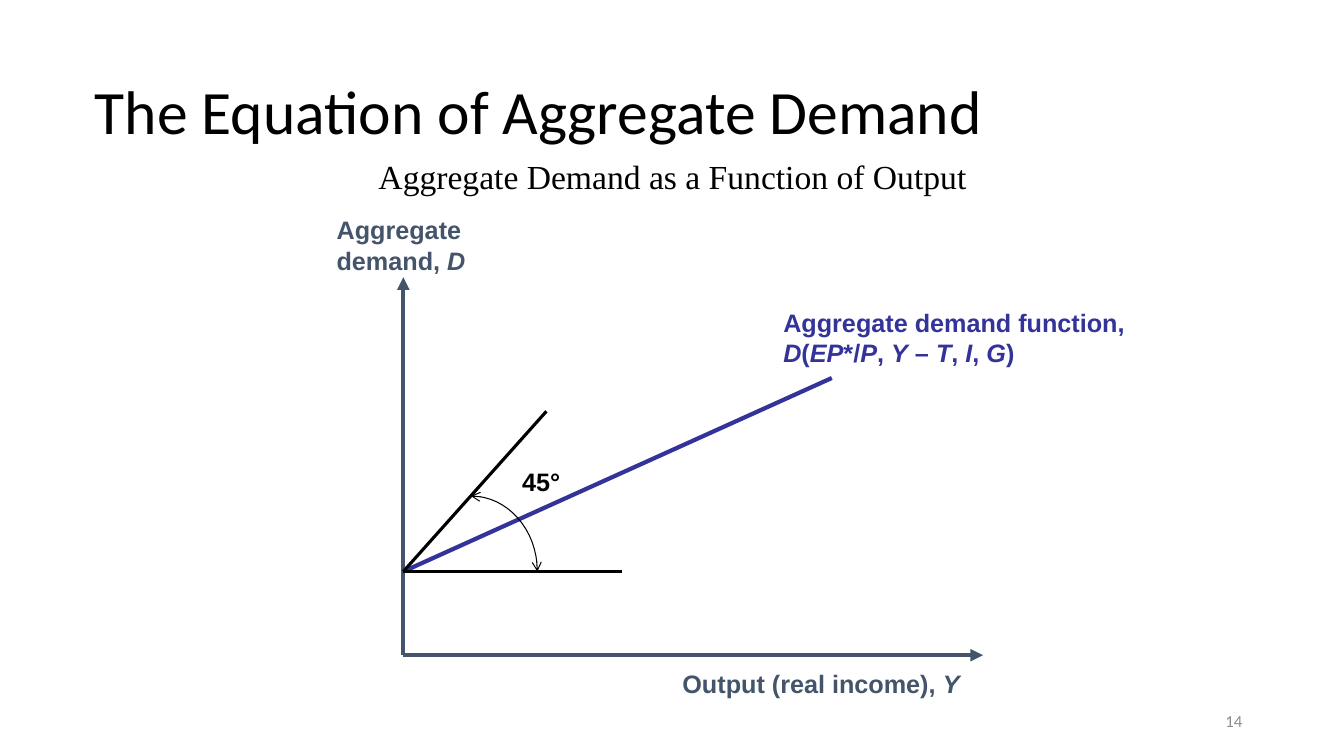
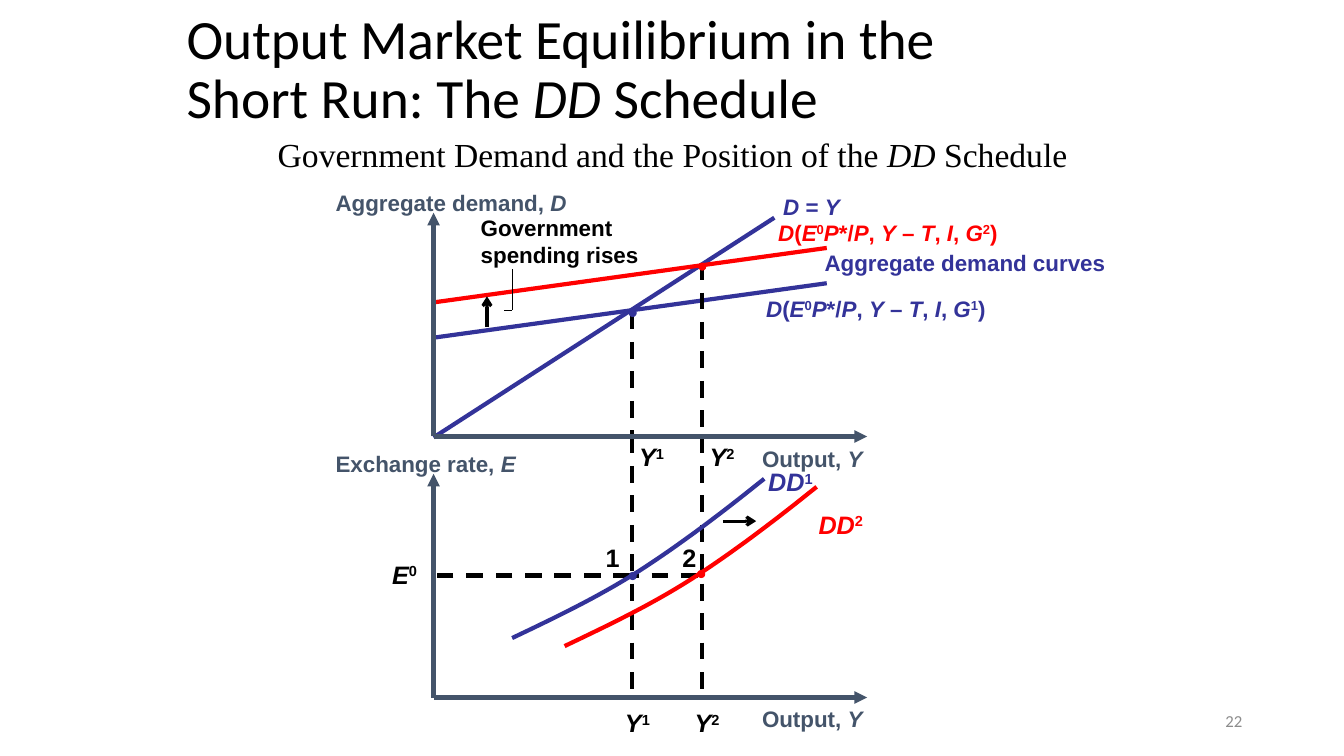
from lxml.etree import SubElement
from pptx import Presentation
from pptx.dml.color import RGBColor
from pptx.enum.dml import MSO_LINE
from pptx.enum.shapes import MSO_CONNECTOR, MSO_SHAPE
from pptx.enum.text import MSO_ANCHOR, MSO_AUTO_SIZE, PP_ALIGN
from pptx.oxml.ns import qn
from pptx.util import Emu, Pt

PX = 9144
COLORS = {
    "black": "000000",
    "axis": "44546A",
    "blue": "333399",
    "red": "FF0000",
    "number": "8C8C8C",
}
LABEL_FONT = "Arial"
TITLE_FONT = "Calibri"
SUBTITLE_FONT = "Times New Roman"


def px(*lengths):
    return [Emu(round(length * PX)) for length in lengths]


def rgb(color):
    return RGBColor.from_string(COLORS[color])


def write(paragraph, markup, font, size, color, bold=False):
    """Underscores switch italics, carets switch superscript."""
    for italic_index, piece in enumerate(markup.split("_")):
        for raised_index, text in enumerate(piece.split("^")):
            if not text:
                continue
            run = paragraph.add_run()
            run.text = text
            run.font.name = font
            run.font.size = Pt(size)
            run.font.bold = bold
            run.font.italic = italic_index % 2 == 1
            run.font.color.rgb = rgb(color)
            if raised_index % 2:
                run._r.get_or_add_rPr().set("baseline", "30000")


def add_title(presentation, box, markup, size):
    slide = presentation.slides.add_slide(presentation.slide_layouts[5])
    title = slide.shapes.title
    title.left, title.top, title.width, title.height = px(*box)
    frame = title.text_frame
    frame.word_wrap = True
    frame.auto_size = MSO_AUTO_SIZE.NONE
    frame.vertical_anchor = MSO_ANCHOR.MIDDLE
    paragraph = frame.paragraphs[0]
    paragraph.alignment = PP_ALIGN.LEFT
    paragraph.line_spacing = 0.9
    write(paragraph, markup, TITLE_FONT, size, "black")
    return slide


def add_line_of_text(slide, box, markup, font, size, color, alignment, anchor):
    frame = slide.shapes.add_textbox(*px(*box)).text_frame
    frame.word_wrap = True
    frame.vertical_anchor = anchor
    paragraph = frame.paragraphs[0]
    paragraph.alignment = alignment
    write(paragraph, markup, font, size, color)


def add_subtitle(slide, top, height, markup):
    add_line_of_text(slide, (167, top, 1000, height), markup, SUBTITLE_FONT, 24,
                     "black", PP_ALIGN.CENTER, MSO_ANCHOR.BOTTOM)


def add_number(slide, number):
    add_line_of_text(slide, (942, 695, 300, 40), number, TITLE_FONT, 12,
                     "number", PP_ALIGN.RIGHT, MSO_ANCHOR.MIDDLE)


def add_label(slide, box, lines, color, size=18):
    frame = slide.shapes.add_textbox(*px(*box)).text_frame
    frame.word_wrap = False
    frame.auto_size = MSO_AUTO_SIZE.SHAPE_TO_FIT_TEXT
    for index, markup in enumerate(lines.split("\n")):
        paragraph = frame.add_paragraph() if index else frame.paragraphs[0]
        write(paragraph, markup, LABEL_FONT, size, color, bold=True)


def style_line(shape, color, width, head=None, tail=None):
    shape.line.color.rgb = rgb(color)
    shape.line.width = Pt(width)
    outline = shape.line._get_or_add_ln()
    for tag, kind in (("a:headEnd", head), ("a:tailEnd", tail)):
        if kind:
            SubElement(outline, qn(tag), type=kind)


def add_line(slide, start, end, color, width=3, dashed=False, tail=None):
    line = slide.shapes.add_connector(MSO_CONNECTOR.STRAIGHT, *px(*start, *end))
    style_line(line, color, width, tail=tail)
    if dashed:
        line.line.dash_style = MSO_LINE.DASH
    SubElement(line._element.spPr, qn("a:effectLst"))


def add_axes(slide, origin, top, right):
    left, bottom = origin
    add_line(slide, origin, (left, top), "axis", tail="triangle")
    add_line(slide, origin, (right, bottom), "axis", tail="triangle")


def bezier(points, steps=16):
    weights = (1, 3, 3, 1)
    return [
        tuple(
            sum(weights[k] * (1 - step / steps) ** (3 - k) * (step / steps) ** k
                * points[k][axis] for k in range(4))
            for axis in range(2)
        )
        for step in range(steps + 1)
    ]


def add_curve(slide, points, color, width=3, head=None, tail=None):
    trace = []
    for first in range(0, len(points) - 1, 3):
        trace += bezier(points[first:first + 4])
    corners = [px(*point) for point in trace]
    builder = slide.shapes.build_freeform(*corners[0])
    builder.add_line_segments(corners[1:], close=False)
    curve = builder.convert_to_shape()
    curve.shadow.inherit = False
    curve.fill.background()
    style_line(curve, color, width, head, tail)


def add_dot(slide, left, top, color):
    dot = slide.shapes.add_shape(MSO_SHAPE.OVAL, *px(left, top, 7, 7))
    dot.shadow.inherit = False
    dot.fill.solid()
    dot.fill.fore_color.rgb = rgb(color)
    style_line(dot, color, 0.75)


def build_demand_slide(presentation):
    slide = add_title(presentation, (84, 41, 1150, 145),
                      "The Equation of Aggregate Demand", 44)
    add_subtitle(slide, 142, 58, "Aggregate Demand as a Function of Output")
    add_axes(slide, (400, 650), 275, 975)
    add_label(slide, (324, 208, 148, 70), "Aggregate\ndemand, _D_", "axis")
    add_label(slide, (667, 658, 295, 40), "Output (real income), _Y_", "axis")

    start = (400, 567)
    add_line(slide, start, (825, 375), "blue")
    add_label(slide, (767, 300, 359, 70),
              "Aggregate demand function,\n"
              "_D_(_EP_*/_P_, _Y_ – _T_, _I_, _G_)", "blue")
    for end in ((617, 567), (542, 408)):
        add_line(slide, start, end, "black", 2.25)
    add_curve(slide, [(467, 492), (503, 492), (533, 525), (533, 567)],
              "black", 0.75, head="arrow", tail="arrow")
    add_label(slide, (508, 458, 58, 40), "45°", "black")
    add_number(slide, "14")


def build_schedule_slide(presentation):
    slide = add_title(
        presentation, (175, 8, 850, 125),
        "Output Market Equilibrium in the Short Run: The _DD _Schedule", 39.6)
    add_subtitle(slide, 142, 36,
                 "Government Demand and the Position of the _DD_ Schedule")

    left, right = 430, 860
    add_line(slide, (left, 434), (768, 216), "blue")
    demand_curves = (("1", "blue", 335, (750, 288)),
                     ("2", "red", 300, (762, 212)))
    for index, color, height, corner in demand_curves:
        add_line(slide, (left, height), (820, height - 54), color)
        add_label(slide, (*corner, 241, 37),
                  f"_D_(_E_^0^_P_*/_P_, _Y_ – _T_,_ I_, _G_^{index}^)", color, 16)

    output_levels = (("1", 627, 310, 624, 610), ("2", 696, 261, 674, 679))
    for index, middle, top, upper_left, lower_left in output_levels:
        add_line(slide, (middle, top), (middle, 434), "black", dashed=True)
        add_line(slide, (middle, 433), (middle, 692), "black", dashed=True)
        add_label(slide, (624 if index == "1" else 694, 433, 46, 40),
                  f"_Y_^{index}^", "black")
        add_label(slide, (lower_left, 697, 46, 40), f"_Y_^{index}^", "black")
    for start, end in ((625, 433), (617, 692)):
        add_line(slide, (start, 571), (end, 571), "black", dashed=True)

    panes = ((433, 211, 183, "Aggregate demand, _D_", 437),
             (692, 470, 442, "Exchange rate, _E_", 695))
    for bottom, top, name_top, name, output_top in panes:
        add_axes(slide, (left, bottom), top, right)
        add_label(slide, (323, name_top, 283, 37), name, "axis", 16)
        add_label(slide, (746, output_top, 120, 37), "Output, _Y_", "axis", 16)

    schedule = [(508, 633), (550, 613), (592, 593), (633, 567),
                (675, 540), (717, 508), (758, 475)]
    schedules = (("1", "blue", 0, 0, (752, 458)), ("2", "red", 52, 8, (802, 500)))
    for index, color, shift_x, shift_y, corner in schedules:
        add_curve(slide, [(x + shift_x, y + shift_y) for x, y in schedule], color)
        add_label(slide, (*corner, 65, 40), f"_DD_^{index}^", color)

    for x, y, color in ((624, 307, "blue"), (693, 261, "red"),
                        (624, 568, "blue"), (692, 566, "red")):
        add_dot(slide, x, y, color)
    for x, point in ((591, "1"), (667, "2")):
        add_label(slide, (x, 533, 34, 40), point, "black")

    add_label(slide, (767, 187, 76, 37), "_D_ = _Y_", "blue", 16)
    add_label(slide, (808, 242, 299, 37), "Aggregate demand curves", "blue", 16)
    add_label(slide, (379, 550, 46, 40), "_E_^0^", "black")
    add_label(slide, (467, 208, 177, 64), "Government\nspending rises",
              "black", 16)
    for start, end in (((508, 267), (508, 308)), ((500, 308), (508, 308))):
        add_line(slide, start, end, "black", 0.75)
    for start, end in (((483, 324), (483, 294)), ((717, 517), (750, 517))):
        add_line(slide, start, end, "black", 2.25, tail="arrow")
    add_number(slide, "22")


def main():
    presentation = Presentation()
    presentation.slide_width, presentation.slide_height = px(1333, 750)
    build_demand_slide(presentation)
    build_schedule_slide(presentation)
    presentation.save("out.pptx")


if __name__ == "__main__":
    main()
